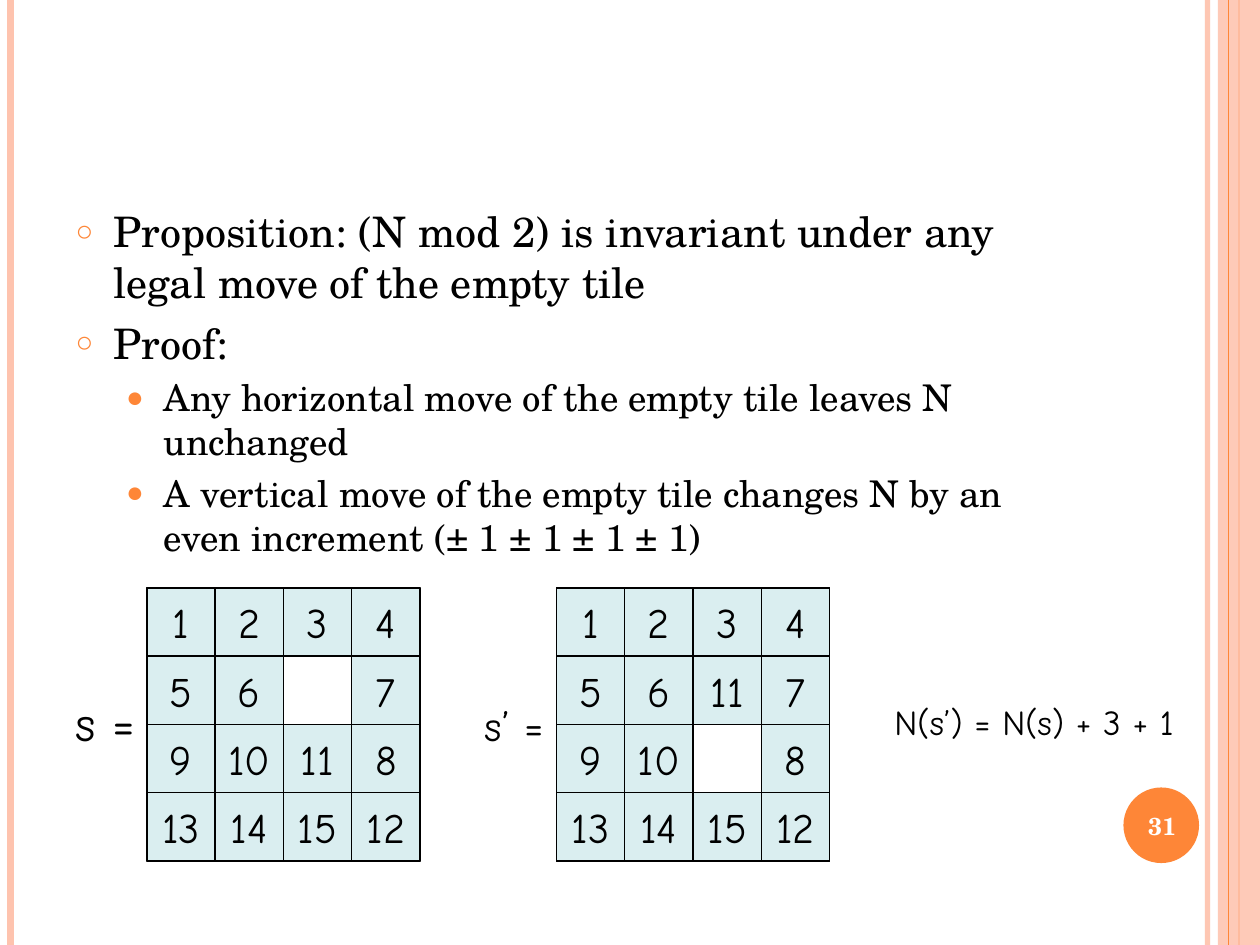
"""Build the fifteen-puzzle parity proof slide."""
from dataclasses import dataclass
from typing import Optional

from lxml.etree import SubElement
from pptx import Presentation
from pptx.dml.color import RGBColor
from pptx.enum.shapes import MSO_CONNECTOR, MSO_SHAPE
from pptx.enum.text import MSO_ANCHOR as Anchor, MSO_AUTO_SIZE as AutoSize, PP_ALIGN as Align
from pptx.oxml.ns import qn
from pptx.util import Emu, Pt

ORANGE = RGBColor(0xFE, 0x86, 0x37)
PEACH = RGBColor(0xFE, 0xC3, 0xAE)
TILE_BLUE = RGBColor(0xDA, 0xEE, 0xF0)
BLACK = RGBColor(0, 0, 0)
WHITE = RGBColor(0xFF, 0xFF, 0xFF)
SERIF = "TeX Gyre Schola"
COMIC = "Comic Neue"
PX = 7620
WIDTH, HEIGHT = 1200, 900
TILE = 65
BOARD_TOP = 560


@dataclass
class Stripe:
    x: int
    color: RGBColor
    weight: float
    opacity: int = 100


@dataclass
class Bullet:
    text: str
    level: int
    space_before: float


@dataclass
class BulletStyle:
    symbol: str
    percent: int
    size: int
    left: int


@dataclass
class Label:
    text: str
    box: tuple[int, int, int, int]
    size: int
    font: str = COMIC
    color: RGBColor = BLACK
    bold: bool = False
    centred: bool = False


@dataclass
class Board:
    left: int
    rows: list[list[Optional[int]]]
    label: Label


STRIPES_BEHIND = [Stripe(1150, PEACH, 3, 93), Stripe(10, PEACH, 4.5), Stripe(1180, ORANGE, 1.5)]
STRIPE_IN_FRONT = Stripe(1170, ORANGE, 0.75)
BULLETS = [
    Bullet("Proposition: (N mod 2) is invariant under any legal move of the empty tile", 0, 0),
    Bullet("Proof:", 0, 6),
    Bullet("Any horizontal move of the empty tile leaves N unchanged", 1, 4.2),
    Bullet("A vertical move of the empty tile changes N by an even increment (± 1 ± 1 ± 1 ± 1)", 1, 4.2),
]
BULLET_STYLES = [BulletStyle("○", 70, 24, 36), BulletStyle("●", 80, 21, 84)]
HANGING = 36
BOARDS = [
    Board(140, [[1, 2, 3, 4], [5, 6, None, 7], [9, 10, 11, 8], [13, 14, 15, 12]],
          Label("s =", (60, 654, 84, 68), 28)),
    Board(530, [[1, 2, 3, 4], [5, 6, 11, 7], [9, 10, None, 8], [13, 14, 15, 12]],
          Label("s’ =", (450, 660, 83, 60), 24)),
]
EQUATION = Label("N(s’) = N(s) + 3 + 1", (840, 661, 310, 52), 20)
PAGE_NUMBER = Label("31", (1067, 752, 80, 68), 14, SERIF, WHITE, True, True)


def scaled(*lengths: int) -> list[Emu]:
    return [Emu(length * PX) for length in lengths]


def set_opacity(element, percent: int) -> None:
    color = next(element.iter(qn("a:srgbClr")))
    SubElement(color, qn("a:alpha"), val=str(percent * 1000))


def set_font(paragraph, name: str, size: float, color: RGBColor, bold: bool = False) -> None:
    font = paragraph.font
    font.name, font.size, font.bold = name, Pt(size), bold
    font.color.rgb = color


def add_stripe(shapes, stripe: Stripe) -> None:
    line = shapes.add_connector(MSO_CONNECTOR.STRAIGHT, *scaled(stripe.x, 0, stripe.x, HEIGHT))
    line.line.color.rgb = stripe.color
    line.line.width = Pt(stripe.weight)
    properties = line._element.spPr
    if stripe.opacity < 100:
        set_opacity(properties, stripe.opacity)
    SubElement(properties, qn("a:effectLst"))


def add_shape(shapes, kind: MSO_SHAPE, box: tuple[int, int, int, int],
              fill: Optional[RGBColor], outlined: bool = False):
    shape = shapes.add_shape(kind, *scaled(*box))
    shape.shadow.inherit = False
    if fill is None:
        shape.fill.background()
    else:
        shape.fill.solid()
        shape.fill.fore_color.rgb = fill
    if outlined:
        shape.line.color.rgb = BLACK
        shape.line.width = Pt(0.75)
    else:
        shape.line.fill.background()
    return shape


def add_label(shapes, label: Label) -> None:
    frame = shapes.add_textbox(*scaled(*label.box)).text_frame
    frame.word_wrap = label.centred
    frame.vertical_anchor = Anchor.MIDDLE if label.centred else Anchor.TOP
    frame.auto_size = AutoSize.NONE if label.centred else AutoSize.SHAPE_TO_FIT_TEXT
    paragraph = frame.paragraphs[0]
    paragraph.text = label.text
    paragraph.alignment = Align.CENTER if label.centred else Align.LEFT
    set_font(paragraph, label.font, label.size, label.color, label.bold)


def add_board(shapes, board: Board) -> None:
    group = shapes.add_group_shape().shapes
    side = 4 * TILE
    add_shape(group, MSO_SHAPE.RECTANGLE, (board.left, BOARD_TOP, side, side), None, True)
    for row, numbers in enumerate(board.rows):
        for column, number in enumerate(numbers):
            if number is None:
                continue
            box = (board.left + column * TILE, BOARD_TOP + row * TILE, TILE, TILE)
            frame = add_shape(group, MSO_SHAPE.RECTANGLE, box, TILE_BLUE, True).text_frame
            frame.word_wrap = False
            frame.vertical_anchor = Anchor.MIDDLE
            paragraph = frame.paragraphs[0]
            paragraph.text = str(number)
            paragraph.alignment = Align.CENTER
            set_font(paragraph, COMIC, 24, BLACK)
    add_label(shapes, board.label)


def format_bullet(paragraph, bullet: Bullet) -> None:
    style = BULLET_STYLES[bullet.level]
    paragraph.text = bullet.text
    paragraph.level = bullet.level
    properties = paragraph._p.get_or_add_pPr()
    properties.set("marL", str(style.left * PX))
    properties.set("indent", str(-HANGING * PX))
    SubElement(SubElement(properties, qn("a:buClr")), qn("a:srgbClr"), val=str(ORANGE))
    SubElement(properties, qn("a:buSzPct"), val=str(style.percent * 1000))
    SubElement(properties, qn("a:buChar"), char=style.symbol)
    paragraph.space_before = Pt(bullet.space_before)
    set_font(paragraph, SERIF, style.size, BLACK)


def fill_body(body) -> None:
    body.left, body.top, body.width, body.height = scaled(60, 190, 980, 640)
    frame = body.text_frame
    frame.auto_size = AutoSize.NONE
    for index, bullet in enumerate(BULLETS):
        format_bullet(frame.add_paragraph() if index else frame.paragraphs[0], bullet)


def main() -> None:
    presentation = Presentation()
    presentation.slide_width, presentation.slide_height = scaled(WIDTH, HEIGHT)
    slide = presentation.slides.add_slide(presentation.slide_layouts[1])
    shapes = slide.shapes
    title = shapes.title._element
    title.getparent().remove(title)
    for stripe in STRIPES_BEHIND:
        add_stripe(shapes, stripe)
    band = add_shape(shapes, MSO_SHAPE.RECTANGLE, (1160, 0, 40, HEIGHT), PEACH)
    set_opacity(band._element.spPr, 87)
    add_stripe(shapes, STRIPE_IN_FRONT)
    add_shape(shapes, MSO_SHAPE.OVAL, (1070, 750, 72, 72), ORANGE)
    fill_body(slide.placeholders[1])
    add_label(shapes, PAGE_NUMBER)
    for board in BOARDS:
        add_board(shapes, board)
    add_label(shapes, EQUATION)
    presentation.save("out.pptx")


if __name__ == "__main__":
    main()
